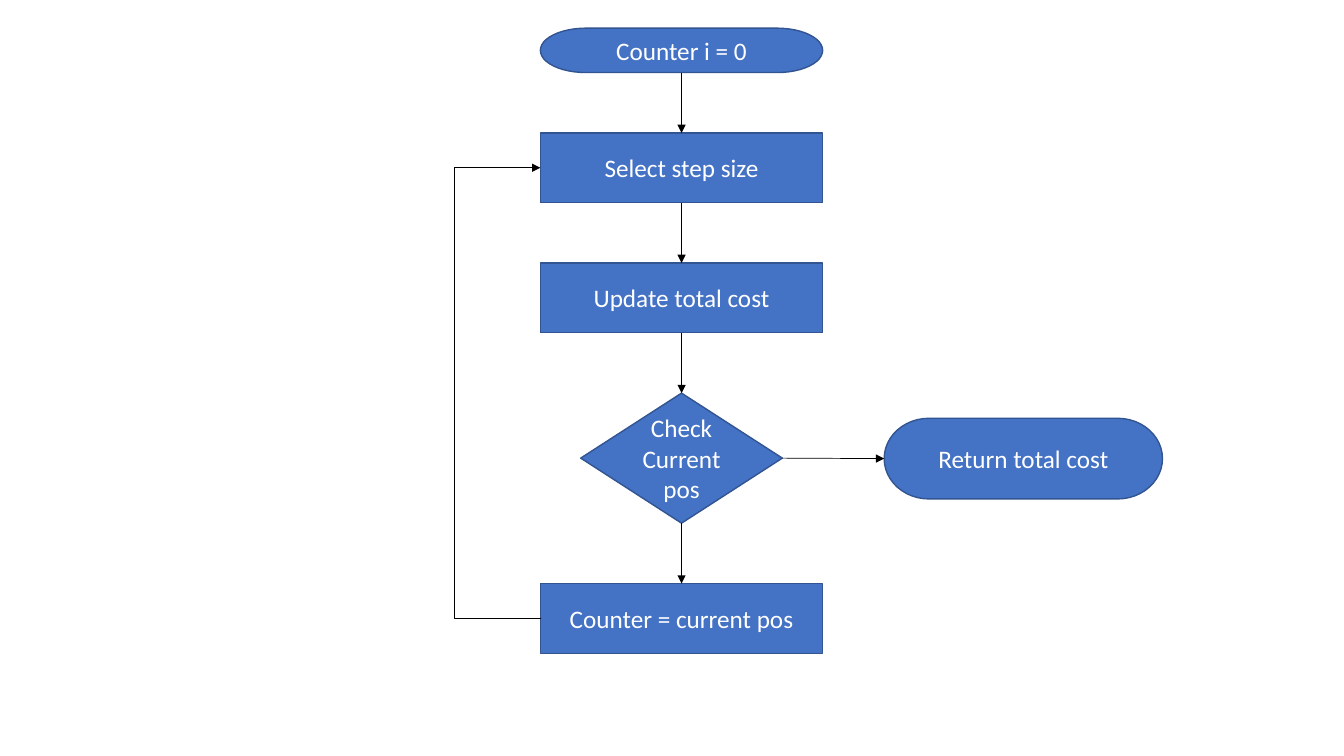
from dataclasses import dataclass

from lxml import etree
from pptx import Presentation
from pptx import util as u
from pptx.dml.color import RGBColor
from pptx.enum import shapes, text
from pptx.oxml import ns

TERMINATOR = shapes.MSO_SHAPE.FLOWCHART_TERMINATOR
PROCESS = shapes.MSO_SHAPE.FLOWCHART_PROCESS
DECISION = shapes.MSO_SHAPE.FLOWCHART_DECISION
STRAIGHT = shapes.MSO_CONNECTOR.STRAIGHT
ELBOW = shapes.MSO_CONNECTOR.ELBOW
TOP, LEFT, BOTTOM, RIGHT = range(4)

AXIS = 6.76
FIRST_TOP = 0.28
GAP = 0.6
LOOP_LEFT = 4.49
LOOP_WIDTH = 0.01


@dataclass(frozen=True)
class Step:
    label: str
    kind: shapes.MSO_SHAPE
    width: float
    height: float


MAIN_STEPS = [
    Step("Counter i = 0", TERMINATOR, 2.8, 0.44),
    Step("Select step size", PROCESS, 2.8, 0.69),
    Step("Update total cost", PROCESS, 2.8, 0.69),
    Step("Check Current pos", DECISION, 2, 1.29),
    Step("Counter = current pos", PROCESS, 2.8, 0.69),
]
RETURN_STEP = Step("Return total cost", TERMINATOR, 2.76, 0.8)


def color(value: str) -> RGBColor:
    return RGBColor.from_string(value)


def draw_step(slide, step: Step, center: float, middle: float):
    shape = slide.shapes.add_shape(
        step.kind,
        u.Inches(center - step.width / 2),
        u.Inches(middle - step.height / 2),
        u.Inches(step.width),
        u.Inches(step.height),
    )
    shape.shadow.inherit = False
    shape.fill.solid()
    shape.fill.fore_color.rgb = color("4472C4")
    shape.line.color.rgb = color("325491")
    shape.line.width = u.Pt(1)
    text_frame = shape.text_frame
    text_frame.word_wrap = True
    text_frame.vertical_anchor = text.MSO_ANCHOR.MIDDLE
    text_frame.text = step.label
    paragraph = text_frame.paragraphs[0]
    paragraph.alignment = text.PP_ALIGN.CENTER
    font = paragraph.runs[0].font
    font.name = "Calibri"
    font.size = u.Pt(18)
    font.color.rgb = color("FFFFFF")
    return shape


def style_arrow(connector) -> None:
    connector.line.color.rgb = color("000000")
    connector.line.width = u.Pt(0.5)
    line = connector.line._get_or_add_ln()
    etree.SubElement(line, ns.qn("a:tailEnd"), type="triangle")
    etree.SubElement(connector._element.spPr, ns.qn("a:effectLst"))


def draw_arrow(slide, source, source_site: int, target, target_site: int) -> None:
    connector = slide.shapes.add_connector(STRAIGHT, 0, 0, 0, 0)
    connector.begin_connect(source, source_site)
    connector.end_connect(target, target_site)
    style_arrow(connector)


def draw_loop(slide, source, target) -> None:
    begin_x = target.left + u.Inches(LOOP_WIDTH)
    connector = slide.shapes.add_connector(
        ELBOW,
        begin_x,
        source.top + source.height // 2,
        target.left,
        target.top + target.height // 2,
    )
    bend = round((begin_x - u.Inches(LOOP_LEFT)) / u.Inches(LOOP_WIDTH) * 100000)
    guides = connector._element.spPr.find(ns.qn("a:prstGeom")).get_or_add_avLst()
    etree.SubElement(guides, ns.qn("a:gd"), name="adj1", fmla=f"val {bend}")
    style_arrow(connector)


presentation = Presentation()
presentation.slide_width = u.Inches(13.33)
presentation.slide_height = u.Inches(7.5)
slide = presentation.slides.add_slide(presentation.slide_layouts[6])

main_shapes = []
top = FIRST_TOP
for step in MAIN_STEPS:
    main_shapes.append(draw_step(slide, step, AXIS, top + step.height / 2))
    top += step.height + GAP

start, select, update, check, advance = main_shapes
return_shape = draw_step(slide, RETURN_STEP, 10.15, 4.55)

for upper, lower in zip(main_shapes, main_shapes[1:]):
    draw_arrow(slide, upper, BOTTOM, lower, TOP)
draw_arrow(slide, check, RIGHT, return_shape, LEFT)
draw_loop(slide, advance, select)

presentation.save("out.pptx")
